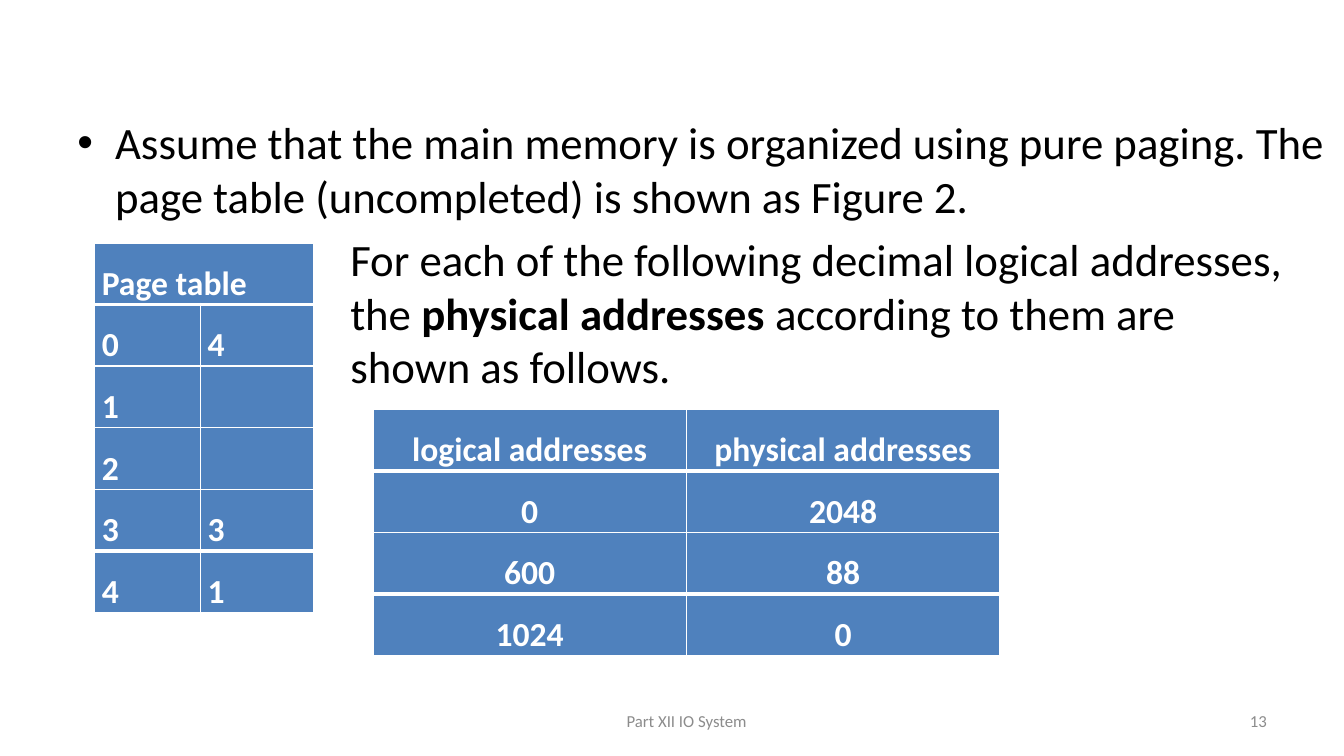
from dataclasses import dataclass

from lxml import etree
from pptx import Presentation
from pptx.dml.color import RGBColor
from pptx.enum import text as txt
from pptx.oxml.ns import qn
from pptx.util import Pt

BLACK = RGBColor(0x00, 0x00, 0x00)
WHITE = RGBColor(0xFF, 0xFF, 0xFF)
GREY = RGBColor(0x8C, 0x8C, 0x8C)
BLUE = RGBColor(0x4F, 0x81, 0xBD)
FONT = "Calibri"
ROW_HEIGHT = 44
THIN, THICK = 1, 3
ALIGN = txt.PP_ALIGN


@dataclass
class AddressTable:
    left: float
    top: float
    columns: list[float]
    rows: list[list[str]]
    align: ALIGN
    merged_header: bool = False


@dataclass
class FooterNote:
    words: str
    left: float
    width: float
    align: ALIGN


TABLES = [
    AddressTable(67.7, 173.5, [75.6, 80.6],
                 [["Page table", ""], ["0", "4"], ["1", ""], ["2", ""], ["3", "3"], ["4", "1"]],
                 ALIGN.JUSTIFY, merged_header=True),
    AddressTable(266.4, 292.3, [223.9, 223.9],
                 [["logical addresses", "physical addresses"],
                  ["0", "2048"], ["600", "88"], ["1024", "0"]],
                 ALIGN.CENTER),
]
FOOTER = [
    FooterNote("Part XII IO System", 328, 325, ALIGN.CENTER),
    FooterNote("13", 688, 224, ALIGN.RIGHT),
]


def write(paragraph, words: str, *, size: float, color: RGBColor = BLACK,
          bold: bool = False, align=None, spacing=None) -> None:
    run = paragraph.add_run()
    run.text = words
    run.font.name, run.font.size, run.font.bold = FONT, Pt(size), bold
    run.font.color.rgb = color
    if align is not None:
        paragraph.alignment = align
    if spacing is not None:
        paragraph.line_spacing = spacing


def set_borders(cell, top: float, bottom: float) -> None:
    properties = cell._tc.get_or_add_tcPr()
    widths = {"a:lnL": THIN, "a:lnR": THIN, "a:lnT": top, "a:lnB": bottom}
    for position, (tag, width) in enumerate(widths.items()):
        line = etree.Element(qn(tag), w=str(Pt(width)))
        fill = etree.SubElement(line, qn("a:solidFill"))
        etree.SubElement(fill, qn("a:srgbClr"), val=str(WHITE))
        properties.insert(position, line)


def draw_table(slide, data: AddressTable) -> None:
    count = len(data.rows)
    table = slide.shapes.add_table(
        count, len(data.columns), Pt(data.left), Pt(data.top),
        Pt(sum(data.columns)), Pt(ROW_HEIGHT * count)).table
    table.horz_banding = False
    for column, width in zip(table.columns, data.columns):
        column.width = Pt(width)
    if data.merged_header:
        table.cell(0, 0).merge(table.cell(0, len(data.columns) - 1))
    for r, row in enumerate(data.rows):
        table.rows[r].height = Pt(ROW_HEIGHT)
        # Heavy rules set off the header and the last row
        top = THICK if r in (1, count - 1) else THIN
        bottom = THICK if r in (0, count - 2) else THIN
        for c, words in enumerate(row):
            cell = table.cell(r, c)
            cell.margin_left = cell.margin_right = Pt(5)
            cell.margin_top = cell.margin_bottom = 0
            cell.fill.solid()
            cell.fill.fore_color.rgb = BLUE
            set_borders(cell, top, bottom)
            if words:
                write(cell.text_frame.paragraphs[0], words, size=24, color=WHITE,
                      bold=True, align=data.align, spacing=1.5)


def draw_footer(slide, note: FooterNote) -> None:
    frame = slide.shapes.add_textbox(
        Pt(note.left), Pt(500.5), Pt(note.width), Pt(28.75)).text_frame
    frame.word_wrap = True
    frame.vertical_anchor = txt.MSO_ANCHOR.MIDDLE
    write(frame.paragraphs[0], note.words, size=12, color=GREY, align=note.align)


def draw_body(slide) -> None:
    body = slide.placeholders[1]
    body.left, body.top, body.width, body.height = Pt(48), Pt(78.5), Pt(912), Pt(404)
    frame = body.text_frame
    frame.auto_size = txt.MSO_AUTO_SIZE.NONE
    write(frame.paragraphs[0], "Assume that the main memory is organized using pure paging. "
          "The page table (uncompleted) is shown as Figure 2.", size=32)

    # Unbulleted paragraph, indented clear of the page table
    question = frame.add_paragraph()
    properties = question._p.get_or_add_pPr()
    properties.set("marL", str(Pt(195)))
    properties.set("indent", "0")
    etree.SubElement(properties, qn("a:buNone"))
    write(question, "For each of the following decimal logical addresses,", size=32)
    question.add_line_break()
    write(question, "the ", size=32)
    write(question, "physical addresses ", size=32, bold=True)
    write(question, "according to them are", size=32)
    question.add_line_break()
    write(question, "shown as follows.", size=32)


def main() -> None:
    deck = Presentation()
    deck.slide_width, deck.slide_height = Pt(960), Pt(540)
    slide = deck.slides.add_slide(deck.slide_layouts[1])

    # The slide has no heading
    heading = slide.shapes.title.element
    heading.getparent().remove(heading)

    draw_body(slide)
    for note in FOOTER:
        draw_footer(slide, note)
    for data in TABLES:
        draw_table(slide, data)
    deck.save("out.pptx")


if __name__ == "__main__":
    main()
